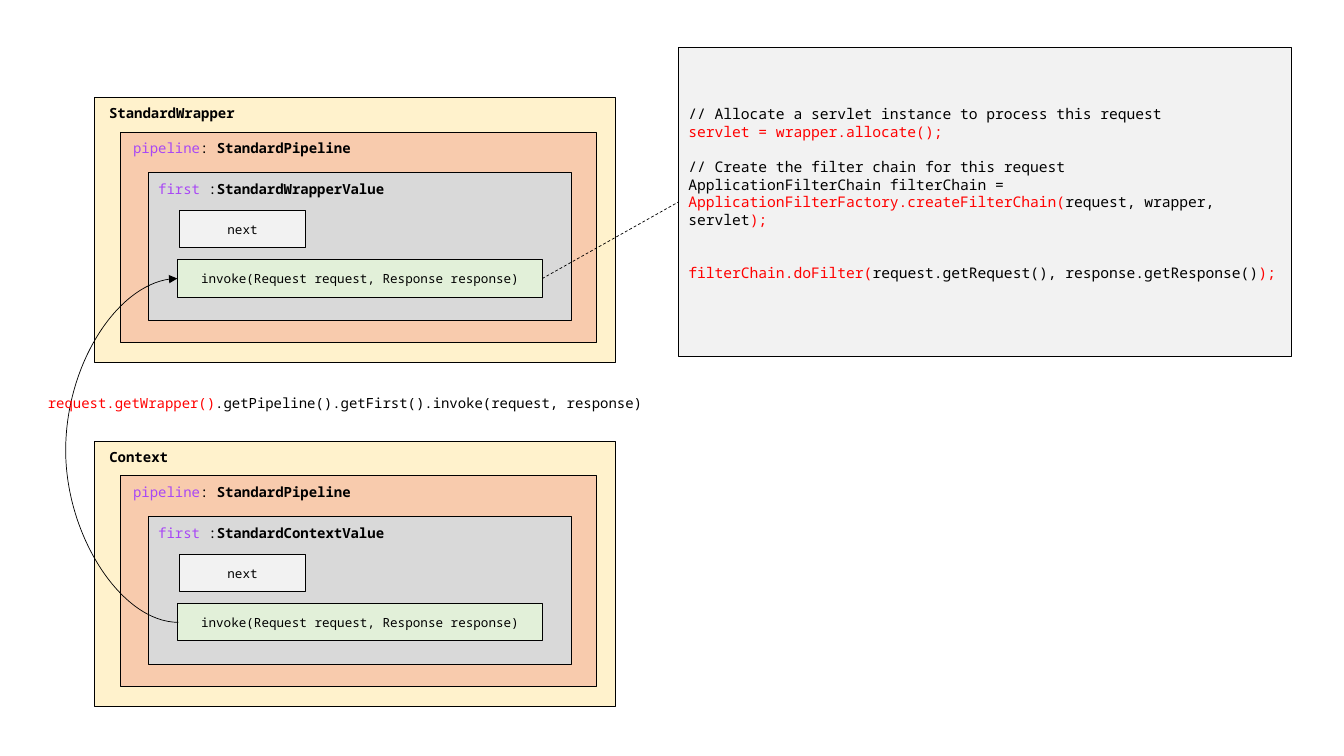
import dataclasses

import lxml.etree
import pptx
import pptx.dml.color
import pptx.enum.dml
import pptx.enum.shapes
import pptx.enum.text
import pptx.oxml.ns
import pptx.util

Pt = pptx.util.Pt
qn = pptx.oxml.ns.qn
ALIGN = pptx.enum.text.PP_ALIGN
CONNECTOR = pptx.enum.shapes.MSO_CONNECTOR


@dataclasses.dataclass(frozen=True)
class Theme:
    font: str = "Noto Sans Mono"
    ink: str = "000000"
    red: str = "FF0000"
    purple: str = "A847F5"
    container: str = "FFF2CC"
    pipeline: str = "F8CBAD"
    valve: str = "D9D9D9"
    method: str = "E2F0D9"
    plain: str = "F2F2F2"
    label: float = 10
    body: float = 9
    code: float = 10.5
    border: float = 0.75
    link: float = 0.5


T = Theme()
INVOKE = "invoke(Request request, Response response)"
LEFT = 67.7
WRAPPER_TOP, CONTEXT_TOP = 69.8, 315.4
CODE_LINE = 12.6  # line pitch of the code listing


def rgb(value):
    return pptx.dml.color.RGBColor.from_string(value)


def write(p, text, size=T.label, color=T.ink, bold=False):
    """Add text to a paragraph; a newline becomes a line break."""
    for i, line in enumerate(text.split("\n")):
        if i:
            p.add_line_break()
        if line:
            r = p.add_run()
            r.text = line
            r.font.name = T.font
            r.font.size = Pt(size)
            r.font.bold = bold
            r.font.color.rgb = rgb(color)


def box(s, x, y, w, h, fill):
    sp = s.shapes.add_shape(pptx.enum.shapes.MSO_SHAPE.RECTANGLE, Pt(x), Pt(y), Pt(w), Pt(h))
    sp.shadow.inherit = False
    sp.fill.solid()
    sp.fill.fore_color.rgb = rgb(fill)
    sp.line.color.rgb = rgb(T.ink)
    sp.line.width = Pt(T.border)
    return sp


def member(s, x, y, w, text, fill):
    sp = box(s, x, y, w, 26.6, fill)
    p = sp.text_frame.paragraphs[0]
    p.alignment = ALIGN.CENTER
    write(p, text, size=T.body)
    return sp


def label(s, x, y, w, runs, align=ALIGN.CENTER):
    """Runs are pairs of text and format."""
    tf = s.shapes.add_textbox(Pt(x), Pt(y), Pt(w), Pt(19.4)).text_frame
    tf.word_wrap = True
    tf.auto_size = pptx.enum.text.MSO_AUTO_SIZE.SHAPE_TO_FIT_TEXT
    p = tf.paragraphs[0]
    p.alignment = align
    for text, style in runs:
        write(p, text, **style)


def container(s, top, name, name_width, valve):
    """Draw the nested boxes and return the invoke box."""
    bold, key = {"bold": True}, {"color": T.purple}
    box(s, LEFT, top, 372.2, 189.4, T.container)
    label(s, LEFT + 2.2, top + 1.4, name_width, [(name, bold)])
    x = LEFT + 18.7
    box(s, x, top + 24.5, 339.8, 150.5, T.pipeline)
    label(s, x, top + 26.6, 172.8,
          [("pipeline", key), (": ", {}), ("StandardPipeline", bold)])
    x = LEFT + 38.2
    box(s, x, top + 53.3, 302.4, 105.8, T.valve)
    label(s, x, top + 55.4, 181.4,
          [("first ", key), (":", {}), (valve, bold)], align=ALIGN.LEFT)
    invoke = member(s, LEFT + 59, top + 115.9, 260.6, INVOKE, T.method)
    member(s, LEFT + 60.5, top + 80.6, 90, "next", T.plain)
    return invoke


def code_panel(s):
    sp = box(s, 484.6, 33.8, 437.8, 221, T.plain)
    tf = sp.text_frame
    tf.margin_bottom = Pt(3.6 + CODE_LINE)
    red = {"color": T.red}
    paragraphs = [
        (0, [("// Allocate a servlet instance to process this request\n", {}),
             ("servlet = wrapper.allocate();", red)]),
        (1, [("// Create the filter chain for this request\n"
              "ApplicationFilterChain filterChain = ", {}),
             ("ApplicationFilterFactory.createFilterChain(", red),
             ("request, wrapper, servlet", {}), (");", red)]),
        (2, [("filterChain.doFilter(", red),
             ("request.getRequest(), response.getResponse()", {}), (");", red)]),
    ]
    for i, (gap, runs) in enumerate(paragraphs):
        p = tf.add_paragraph() if i else tf.paragraphs[0]
        p.alignment = ALIGN.LEFT
        p.space_before = Pt(gap * CODE_LINE)
        for text, style in runs:
            write(p, text, size=T.code, **style)
    return sp


def link(s, kind, x1, y1, x2, y2):
    c = s.shapes.add_connector(kind, Pt(x1), Pt(y1), Pt(x2), Pt(y2))
    c.line.color.rgb = rgb(T.ink)
    c.line.width = Pt(T.link)
    lxml.etree.SubElement(c._element.spPr, qn("a:effectLst"))
    return c


def call_arrow(s, x1, y1, x2, y2, bend_x):
    """Draw a curved arrow that swings out to bend_x."""
    c = link(s, CONNECTOR.CURVE, x1, y1, x2, y2)
    bend = round(100000 * (x1 - bend_x) / (x1 - x2))
    guides = c._element.spPr.find(qn("a:prstGeom")).get_or_add_avLst()
    lxml.etree.SubElement(guides, qn("a:gd"), name="adj1", fmla=f"val {bend}")
    lxml.etree.SubElement(c.line._get_or_add_ln(), qn("a:tailEnd"), type="triangle")


def main():
    prs = pptx.Presentation()
    prs.slide_width, prs.slide_height = Pt(960), Pt(540)
    s = prs.slides.add_slide(prs.slide_layouts[6])

    container(s, CONTEXT_TOP, "Context", 58.3, "StandardContextValue")
    invoke = container(s, WRAPPER_TOP, "StandardWrapper", 105.8, "StandardWrapperValue")
    call_arrow(s, 127.4, CONTEXT_TOP + 129.2, 126.7, WRAPPER_TOP + 129.2, bend_x=47.9)
    label(s, 20.2, 278.6, 452.2,
          [("request.getWrapper()", {"color": T.red}),
           (".getPipeline().getFirst().invoke(request, response)", {})])

    code = code_panel(s)
    dashed = link(s, CONNECTOR.STRAIGHT, 387.3, 199, 484.6, 144.3)
    dashed.line.dash_style = pptx.enum.dml.MSO_LINE.DASH
    dashed.begin_connect(invoke, 3)
    dashed.end_connect(code, 1)

    prs.save("out.pptx")


if __name__ == "__main__":
    main()
